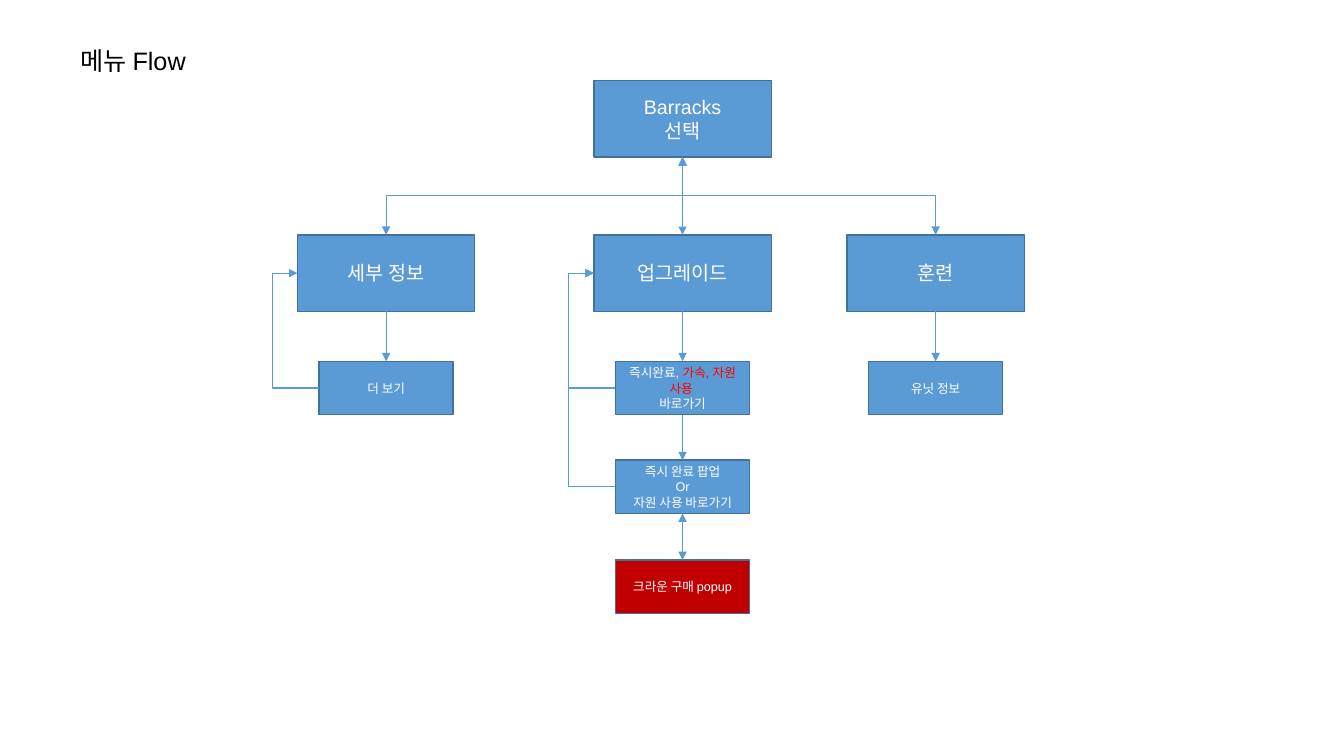
from pptx import Presentation
from pptx import util as u
from pptx.dml.color import RGBColor
from pptx.enum import shapes, text
from pptx.oxml import ns
from lxml import etree

COLORS = {"black": "000000", "white": "FFFFFF", "blue": "5B9BD5",
          "edge": "42719B", "crimson": "C00000", "red": "FF0000"}

# Grid: centre lines in inches
COLUMNS = {"details": 3.83, "upgrade": 6.77, "training": 9.28}
ROWS = {"start": 1.18, "menu": 2.71, "action": 3.85, "confirm": 4.83, "buy": 5.82}
LARGE, SMALL = (1.76, 0.76), (1.33, 0.53)
LOOP_REACH = 0.25
TOP, LEFT, BOTTOM = 0, 1, 2  # connection sites of a rectangle


def color(name):
    return RGBColor.from_string(COLORS[name])


def write(frame, words, size, ink="white", accent="", align=None):
    """Fill a frame, one paragraph per line; the accent part turns red."""
    for number, line in enumerate(words.split("\n")):
        para = frame.paragraphs[0] if number == 0 else frame.add_paragraph()
        para.alignment = align
        before, marked, after = line.partition(accent) if accent else (line, "", "")
        for part, shade in ((before, ink), (marked, "red"), (after, ink)):
            if part:
                span = para.add_run()
                span.text = part
                span.font.name = "Arial"
                span.font.size = u.Pt(size)
                span.font.color.rgb = color(shade)


class FlowPage:
    def __init__(self, deck):
        self.page = deck.slides.add_slide(deck.slide_layouts[6])

    def title(self, words, left, top, width, height):
        box = self.page.shapes.add_textbox(*map(u.Inches, (left, top, width, height)))
        box.text_frame.word_wrap = True
        write(box.text_frame, words, 18, ink="black")

    def node(self, words, column, row, size=SMALL, fill="blue", accent=""):
        width, height = size
        box = self.page.shapes.add_shape(
            shapes.MSO_SHAPE.RECTANGLE,
            u.Inches(COLUMNS[column] - width / 2), u.Inches(ROWS[row] - height / 2),
            u.Inches(width), u.Inches(height))
        box.shadow.inherit = False
        box.fill.solid()
        box.fill.fore_color.rgb = color(fill)
        box.line.color.rgb = color("edge")
        box.line.width = u.Pt(1)
        frame = box.text_frame
        frame.word_wrap = True
        frame.vertical_anchor = text.MSO_ANCHOR.MIDDLE
        write(frame, words, 14 if size == LARGE else 9, accent=accent,
              align=text.PP_ALIGN.CENTER)
        return box

    def link(self, source, target, sites=(BOTTOM, TOP), both=False, bent=False):
        kind = shapes.MSO_CONNECTOR.ELBOW if bent else shapes.MSO_CONNECTOR.STRAIGHT
        arrow = self.page.shapes.add_connector(kind, 0, 0, 0, 0)
        arrow.begin_connect(source, sites[0])
        arrow.end_connect(target, sites[1])
        arrow.line.color.rgb = color("blue")
        arrow.line.width = u.Pt(0.75)
        line = arrow.line._get_or_add_ln()
        for end in ("headEnd", "tailEnd") if both else ("tailEnd",):
            etree.SubElement(line, ns.qn("a:" + end), type="triangle")
        etree.SubElement(arrow._element.spPr, ns.qn("a:effectLst"))
        return arrow

    def branch(self, source, target):
        """Elbow that leaves downwards, runs sideways and drops on the target."""
        arrow = self.link(source, target, both=True, bent=True)
        to_left = arrow.end_x < arrow.begin_x
        across, down = arrow.width, arrow.height
        arrow.left += (across - down) // 2
        arrow.top += (down - across) // 2
        arrow.width, arrow.height = down, across
        frame = arrow._element.spPr.find(ns.qn("a:xfrm"))
        frame.set("rot", str((90 if to_left else 270) * 60000))
        frame.set("flipH", "0" if to_left else "1")

    def loop(self, source, target):
        """Elbow that returns to the target around its left side."""
        arrow = self.link(source, target, sites=(LEFT, LEFT), bent=True)
        share = (arrow.width + u.Inches(LOOP_REACH)) / arrow.width
        geometry = arrow._element.spPr.find(ns.qn("a:prstGeom"))
        guides = geometry.find(ns.qn("a:avLst"))
        if guides is None:
            guides = etree.SubElement(geometry, ns.qn("a:avLst"))
        etree.SubElement(guides, ns.qn("a:gd"), name="adj1",
                         fmla=f"val {round(share * 100000)}")


def main():
    deck = Presentation()
    deck.slide_width, deck.slide_height = u.Inches(13.33), u.Inches(7.5)
    flow = FlowPage(deck)
    flow.title("메뉴 Flow", 0.7, 0.4, 1.32, 0.4)

    # Main menu
    barracks = flow.node("Barracks\n선택", "upgrade", "start", LARGE)
    details = flow.node("세부 정보", "details", "menu", LARGE)
    upgrade = flow.node("업그레이드", "upgrade", "menu", LARGE)
    training = flow.node("훈련", "training", "menu", LARGE)

    # Follow-up screens
    more = flow.node("더 보기", "details", "action")
    shortcut = flow.node("즉시완료, 가속, 자원 사용 \n바로가기", "upgrade", "action",
                         accent="가속, 자원 사용 ")
    unit = flow.node("유닛 정보", "training", "action")
    confirm = flow.node("즉시 완료 팝업\nOr\n자원 사용 바로가기", "upgrade", "confirm")
    purchase = flow.node("크라운 구매 popup", "upgrade", "buy", fill="crimson")

    # Arrows
    for menu in (details, training):
        flow.branch(barracks, menu)
    for source, target in ((details, more), (upgrade, shortcut),
                           (training, unit), (shortcut, confirm)):
        flow.link(source, target)
    for source, target in ((barracks, upgrade), (confirm, purchase)):
        flow.link(source, target, both=True)
    for source, target in ((more, details), (shortcut, upgrade), (confirm, upgrade)):
        flow.loop(source, target)

    deck.save("out.pptx")


if __name__ == "__main__":
    main()
